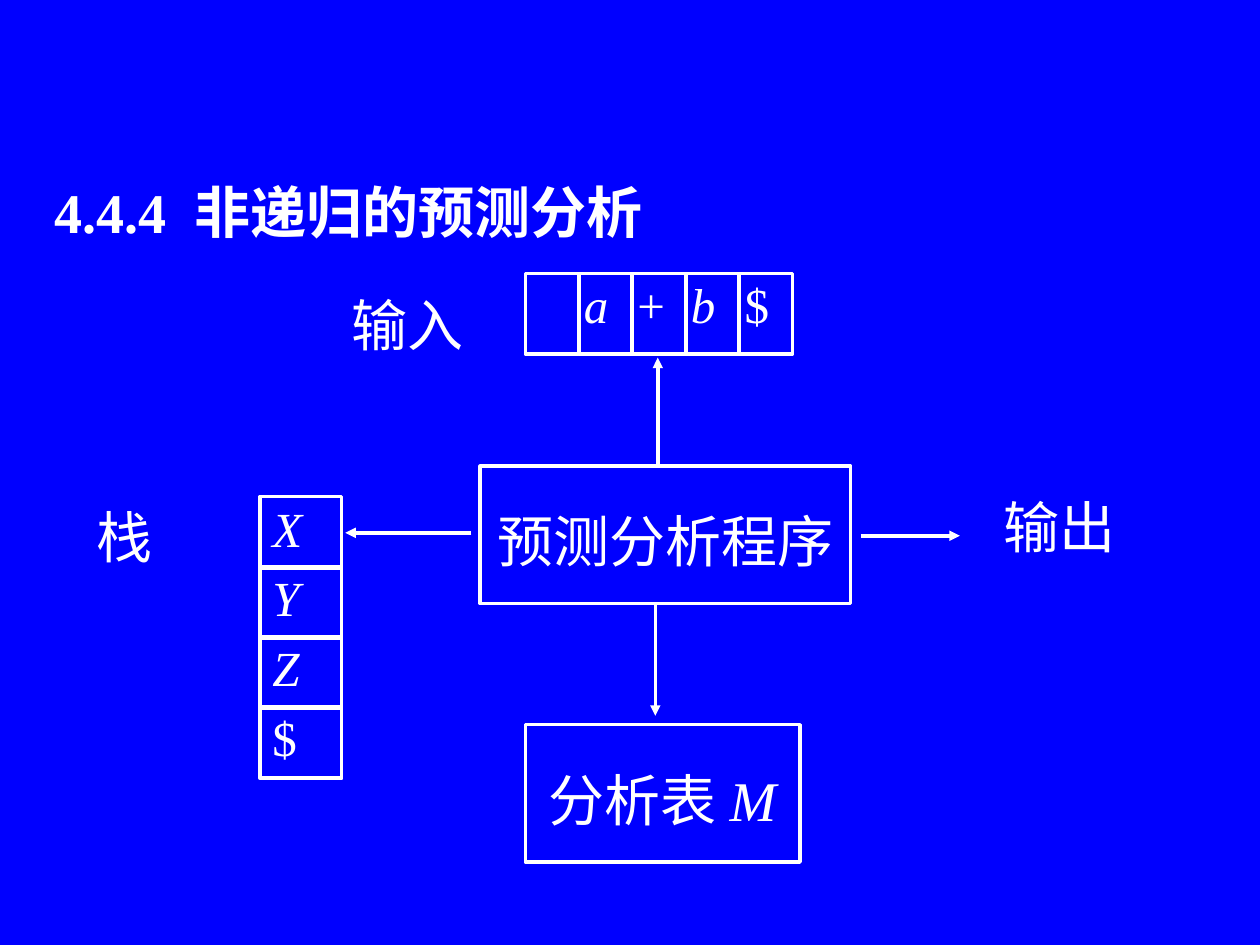
from lxml.etree import SubElement
from pptx import Presentation
from pptx.dml.color import RGBColor
from pptx.enum.shapes import MSO_CONNECTOR as Connector, MSO_SHAPE as Shape
from pptx.enum.text import MSO_ANCHOR as Anchor, PP_ALIGN as Align
from pptx.oxml.ns import qn
from pptx.util import Cm, Pt

BLUE = RGBColor(0x00, 0x00, 0xFF)
WHITE = RGBColor(0xFF, 0xFF, 0xFF)
FONT = "Times New Roman"
LARGE, MEDIUM = 32, 28
LINE_WIDTH = Pt(2)

HEADING = ["4.4.4", " ", "非递归的预测分析"]
INPUT_CELLS = ["", "a", "+", "b", "$"]
STACK_CELLS = ["X", "Y", "Z", "$"]
LABELS = [
    ("输入", 6.83, 5.72, 2.9),
    ("输出", 19.99, 9.8, 2.87),
    ("栈", 1.7, 10.01, 2.67),
]
BLOCKS = [
    (["预测分析程序"], 9.68, 9.4, 7.47),
    (["分析表 ", "M"], 10.59, 14.61, 5.54),
]
ARROWS = [
    (13.26, 9.35, 13.26, 7.21),
    (13.21, 12.17, 13.21, 14.43),
    (17.35, 10.8, 19.35, 10.8),
    (9.5, 10.74, 6.96, 10.74),
]
BLOCK_HEIGHT = 2.77
INPUT_LEFT, INPUT_TOP, INPUT_PITCH = 10.59, 5.51, 1.08
STACK_LEFT, STACK_TOP, STACK_PITCH = 5.24, 10.01, 1.41


def write(shape, texts, size, align, margins, bold=False, anchor=Anchor.TOP):
    frame = shape.text_frame
    frame.word_wrap = True
    frame.vertical_anchor = anchor
    (frame.margin_left, frame.margin_top,
     frame.margin_right, frame.margin_bottom) = map(Cm, margins)
    para = frame.paragraphs[0]
    para.alignment = align
    for text in texts:
        span = para.add_run()
        span.text = text
        span.font.name = FONT
        span.font.size = Pt(size)
        span.font.bold = bold
        span.font.italic = text.isascii() and text.isalpha()
        span.font.color.rgb = WHITE
    return para


def add_box(page, left, top, width, height):
    box = page.shapes.add_shape(Shape.RECTANGLE, Cm(left), Cm(top), Cm(width), Cm(height))
    box.shadow.inherit = False
    box.fill.background()
    box.line.color.rgb = WHITE
    box.line.width = LINE_WIDTH
    return box


def add_arrow(page, *ends):
    arrow = page.shapes.add_connector(Connector.STRAIGHT, *map(Cm, ends))
    arrow.line.color.rgb = WHITE
    arrow.line.width = LINE_WIDTH
    SubElement(arrow.line._get_or_add_ln(), qn("a:tailEnd"), type="triangle")
    SubElement(arrow._element.spPr, qn("a:effectLst"))


def main():
    deck = Presentation()
    deck.slide_width, deck.slide_height = Cm(25.4), Cm(19.05)
    page = deck.slides.add_slide(deck.slide_layouts[5])
    page.background.fill.solid()
    page.background.fill.fore_color.rgb = BLUE

    title = page.shapes.title
    title.left, title.top, title.width, title.height = map(Cm, (0.84, 3.61, 23.06, 1.47))
    para = write(title, HEADING, LARGE, Align.LEFT, (0.25, 0.13, 0.25, 0.13),
                 bold=True, anchor=Anchor.MIDDLE)
    para.line_spacing = 0.9
    para.runs[1]._r.get_or_add_rPr().set("spc", "800")

    for index, text in enumerate(INPUT_CELLS):
        cell = add_box(page, INPUT_LEFT + index * INPUT_PITCH, INPUT_TOP, 1.07, 1.63)
        if text:
            write(cell, [text], MEDIUM, Align.JUSTIFY, (0.1, 0.03, 0.05, 0.03))

    for index, text in enumerate(STACK_CELLS):
        cell = add_box(page, STACK_LEFT, STACK_TOP + index * STACK_PITCH, 1.65, 1.45)
        write(cell, [text], MEDIUM, Align.JUSTIFY, (0.25, 0.03, 0.25, 0.13))

    for texts, left, top, width in BLOCKS:
        block = add_box(page, left, top, width, BLOCK_HEIGHT)
        para = write(block, texts, LARGE, Align.CENTER, (0.25, 0.28, 0.25, 0.13))
        para.line_spacing = 1.4

    for text, left, top, width in LABELS:
        label = page.shapes.add_textbox(Cm(left), Cm(top), Cm(width), Cm(1.82))
        write(label, [text], LARGE, Align.JUSTIFY, (0.25, 0.13, 0.25, 0.13))

    for ends in ARROWS:
        add_arrow(page, *ends)

    deck.save("out.pptx")


if __name__ == "__main__":
    main()
